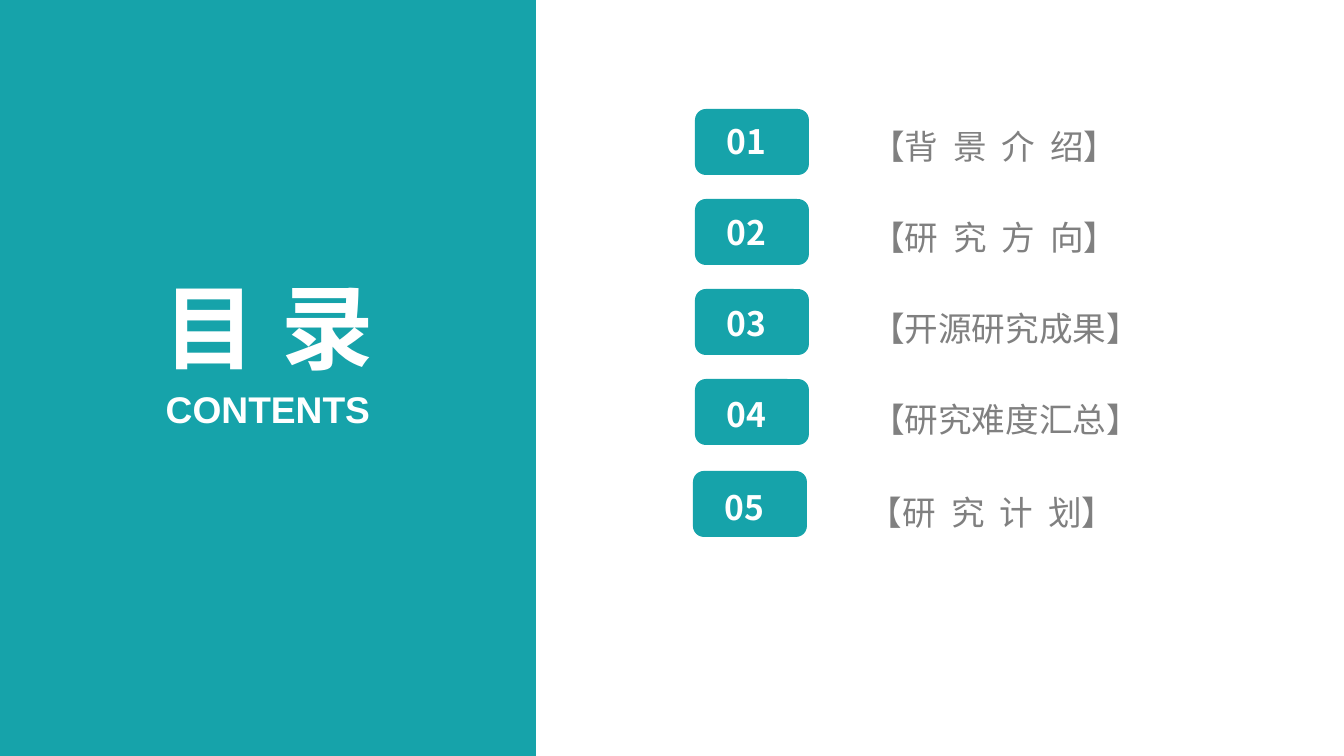
from pptx import Presentation
from pptx import util as u
from pptx.dml.color import RGBColor
from pptx.enum import shapes, text
from pptx.oxml import ns
from lxml import etree

PX = 914400 / 134.4
TEAL, WHITE, GREY = "16A3AA", "FFFFFF", "808080"
KINDS = shapes.MSO_SHAPE
ENTRIES = ["【背 景 介 绍】", "【研 究 方 向】", "【开源研究成果】",
           "【研究难度汇总】", "【研 究 计 划】"]
TITLE = {"size": u.Pt(49.5), "name": "Arial", "bold": True}
SUBTITLE = {"size": u.Pt(19.9), "name": "Arial", "bold": True}
NUMBER = {"size": u.Pt(18), "name": "Noto Sans CJK SC", "bold": True}
LABEL = {"size": u.Pt(18), "name": "Noto Sans CJK SC", "bold": False}


def px(value):
    return u.Emu(round(value * PX))


def color(value):
    return RGBColor.from_string(value)


def add_block(slide, kind, box, fill=None):
    shape = slide.shapes.add_shape(kind, *map(px, box))
    shape.shadow.inherit = False
    shape.line.fill.background()
    if fill:
        shape.fill.solid()
        shape.fill.fore_color.rgb = color(fill)
    else:
        shape.fill.background()
    return shape


def add_run(paragraph, words, style, hue, spacing=None):
    run = paragraph.add_run()
    run.text = words
    for name, value in style.items():
        setattr(run.font, name, value)
    run.font.color.rgb = color(hue)
    properties = run.font._element
    etree.SubElement(properties, ns.qn("a:ea"), typeface=style["name"])
    if spacing:
        properties.set("spc", str(spacing))


def format_frame(shape, margins, **settings):
    frame = shape.text_frame
    sides = ("margin_left", "margin_top", "margin_right", "margin_bottom")
    settings.update(zip(sides, map(px, margins)))
    for name, value in settings.items():
        setattr(frame, name, value)
    return frame.paragraphs[0]


def add_title_panel(slide, left, top, width, height):
    add_block(slide, KINDS.RECTANGLE, (left, top, width, height), TEAL)
    headings = [("目 录", TITLE, (163, 270, 212, 112)),
                ("CONTENTS", SUBTITLE, (165, 386, 206, 46))]
    for words, style, (x, y, w, h) in headings:
        textbox = slide.shapes.add_textbox(*map(px, (left + x, top + y, w, h)))
        paragraph = format_frame(textbox, (0, 0, 0, 0), word_wrap=False,
                                 auto_size=text.MSO_AUTO_SIZE.SHAPE_TO_FIT_TEXT)
        paragraph.alignment = text.PP_ALIGN.CENTER
        add_run(paragraph, words, style, WHITE)


def add_entry(slide, left, badge_top, text_top, number, label):
    # Badge
    add_block(slide, KINDS.ROUNDED_RECTANGLE, (left, badge_top, 114, 66), TEAL)

    # Number over the badge
    oval = add_block(slide, KINDS.OVAL, (left - 1, text_top, 105, 77))
    paragraph = format_frame(oval, (8, 4, 8, 4), word_wrap=True,
                             vertical_anchor=text.MSO_ANCHOR.MIDDLE)
    paragraph.alignment = text.PP_ALIGN.CENTER
    add_run(paragraph, f"{number:02d}", NUMBER, WHITE)

    # Label, with widened gaps between spaced characters
    textbox = slide.shapes.add_textbox(
        *map(px, (left + 167, text_top + 2, 382, 71)))
    paragraph = format_frame(textbox, (9, 21, 9, 0), word_wrap=True)
    for index, part in enumerate(label.split(" ")):
        if index:
            add_run(paragraph, " ", LABEL, GREY, spacing=400)
        add_run(paragraph, part, LABEL, GREY)


def add_contents(slide, left, top):
    for index, label in enumerate(ENTRIES):
        # The last entry sits slightly left and low
        nudge = 2 if index == len(ENTRIES) - 1 else 0
        add_entry(slide, left - nudge, top + 90 * index + nudge,
                  top - 6 + 91 * index + nudge, index + 1, label)


def main():
    presentation = Presentation()
    presentation.slide_width = px(1344)
    presentation.slide_height = px(756)
    slide = presentation.slides.add_slide(presentation.slide_layouts[6])
    add_title_panel(slide, 0, 0, 536, 756)
    add_contents(slide, 695, 109)
    presentation.save("out.pptx")


if __name__ == "__main__":
    main()
